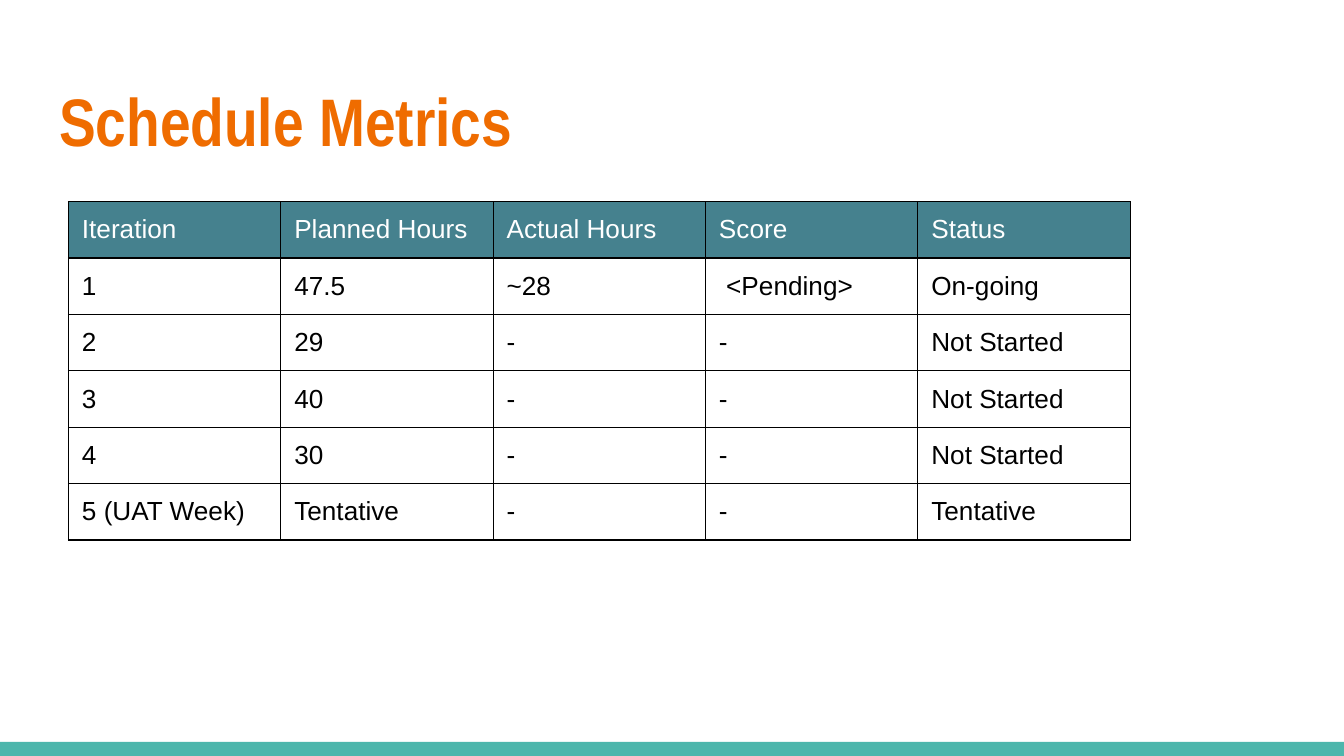
from dataclasses import dataclass
from typing import NamedTuple

from lxml.etree import SubElement
from pptx import Presentation
from pptx.dml.color import RGBColor as RGB
from pptx.enum.shapes import MSO_SHAPE as Shape
from pptx.enum.text import MSO_ANCHOR as Anchor, MSO_AUTO_SIZE as AutoSize, PP_ALIGN as Align
from pptx.oxml.ns import qn
from pptx.util import Inches, Pt


@dataclass(frozen=True)
class Theme:
    accent: str = "4DB6AC"
    title: str = "EF6C00"
    header: str = "45818E"
    header_text: str = "FFFFFF"
    text: str = "000000"
    border: str = "000000"
    title_font: str = "Arial Narrow"
    body_font: str = "Arial"
    title_size: int = 36
    body_size: int = 14
    border_width: float = 0.75
    inset: float = 0.1


class Iteration(NamedTuple):
    number: str
    planned: str
    actual: str
    score: str
    status: str


THEME = Theme()
HEADINGS = Iteration("Iteration", "Planned Hours", "Actual Hours", "Score", "Status")
ITERATIONS = [
    Iteration("1", "47.5", "~28", " <Pending>", "On-going"),
    Iteration("2", "29", "-", "-", "Not Started"),
    Iteration("3", "40", "-", "-", "Not Started"),
    Iteration("4", "30", "-", "-", "Not Started"),
    Iteration("5 (UAT Week)", "Tentative", "-", "-", "Tentative"),
]
SLIDE_WIDTH = Inches(10)
SLIDE_HEIGHT = SLIDE_WIDTH * 9 // 16  # widescreen
COLUMN_WIDTH, ROW_HEIGHT = 1.58, 0.42


def write(frame, text: str, *, font: str, size: float, color: str,
          bold: bool = False) -> None:
    paragraph = frame.paragraphs[0]
    paragraph.alignment = Align.LEFT
    run = paragraph.add_run()
    run.text = text
    run.font.name = font
    run.font.size = Pt(size)
    run.font.bold = bold
    run.font.color.rgb = RGB.from_string(color)


def set_margins(holder) -> None:
    for side in ("left", "top", "right", "bottom"):
        setattr(holder, f"margin_{side}", Inches(THEME.inset))


def draw_borders(cell) -> None:
    properties = cell._tc.get_or_add_tcPr()
    for index, side in enumerate(("lnL", "lnR", "lnT", "lnB")):
        line = properties.makeelement(qn(f"a:{side}"), {"w": str(Pt(THEME.border_width))})
        fill = SubElement(line, qn("a:solidFill"))
        SubElement(fill, qn("a:srgbClr"), val=THEME.border)
        properties.insert(index, line)  # borders come before the cell fill


def draw_cell(cell, text: str, is_header: bool) -> None:
    set_margins(cell)
    cell.vertical_anchor = Anchor.TOP
    if is_header:
        cell.fill.solid()
        cell.fill.fore_color.rgb = RGB.from_string(THEME.header)
    else:
        cell.fill.background()
    draw_borders(cell)
    write(cell.text_frame, text, font=THEME.body_font, size=THEME.body_size,
          color=THEME.header_text if is_header else THEME.text)


def draw_schedule(slide, left: float, top: float) -> None:
    rows = [HEADINGS, *ITERATIONS]
    schedule = slide.shapes.add_table(
        len(rows), len(HEADINGS), Inches(left), Inches(top),
        Inches(COLUMN_WIDTH * len(HEADINGS)), Inches(ROW_HEIGHT * len(rows))).table
    schedule.horz_banding = False
    for r, values in enumerate(rows):
        for c, value in enumerate(values):
            draw_cell(schedule.cell(r, c), value, is_header=r == 0)


def draw_footer_bar(slide) -> None:
    bar = slide.shapes.add_shape(Shape.RECTANGLE, 0, Inches(5.52), SLIDE_WIDTH, Inches(0.11))
    bar.shadow.inherit = False
    bar.fill.solid()
    bar.fill.fore_color.rgb = RGB.from_string(THEME.accent)
    bar.line.fill.background()


def draw_title(slide, text: str) -> None:
    title = slide.shapes.title
    title.left, title.top = Inches(0.34), Inches(0.49)
    title.width, title.height = Inches(9.32), Inches(0.77)
    set_margins(title.text_frame)
    title.text_frame.auto_size = AutoSize.NONE
    title.text_frame.vertical_anchor = Anchor.TOP
    write(title.text_frame, text, font=THEME.title_font, size=THEME.title_size,
          color=THEME.title, bold=True)


def main() -> None:
    deck = Presentation()
    deck.slide_width, deck.slide_height = SLIDE_WIDTH, SLIDE_HEIGHT
    slide = deck.slides.add_slide(deck.slide_layouts[5])  # Title Only
    draw_footer_bar(slide)
    draw_title(slide, "Schedule Metrics")
    draw_schedule(slide, left=0.51, top=1.5)
    deck.save("out.pptx")


if __name__ == "__main__":
    main()
